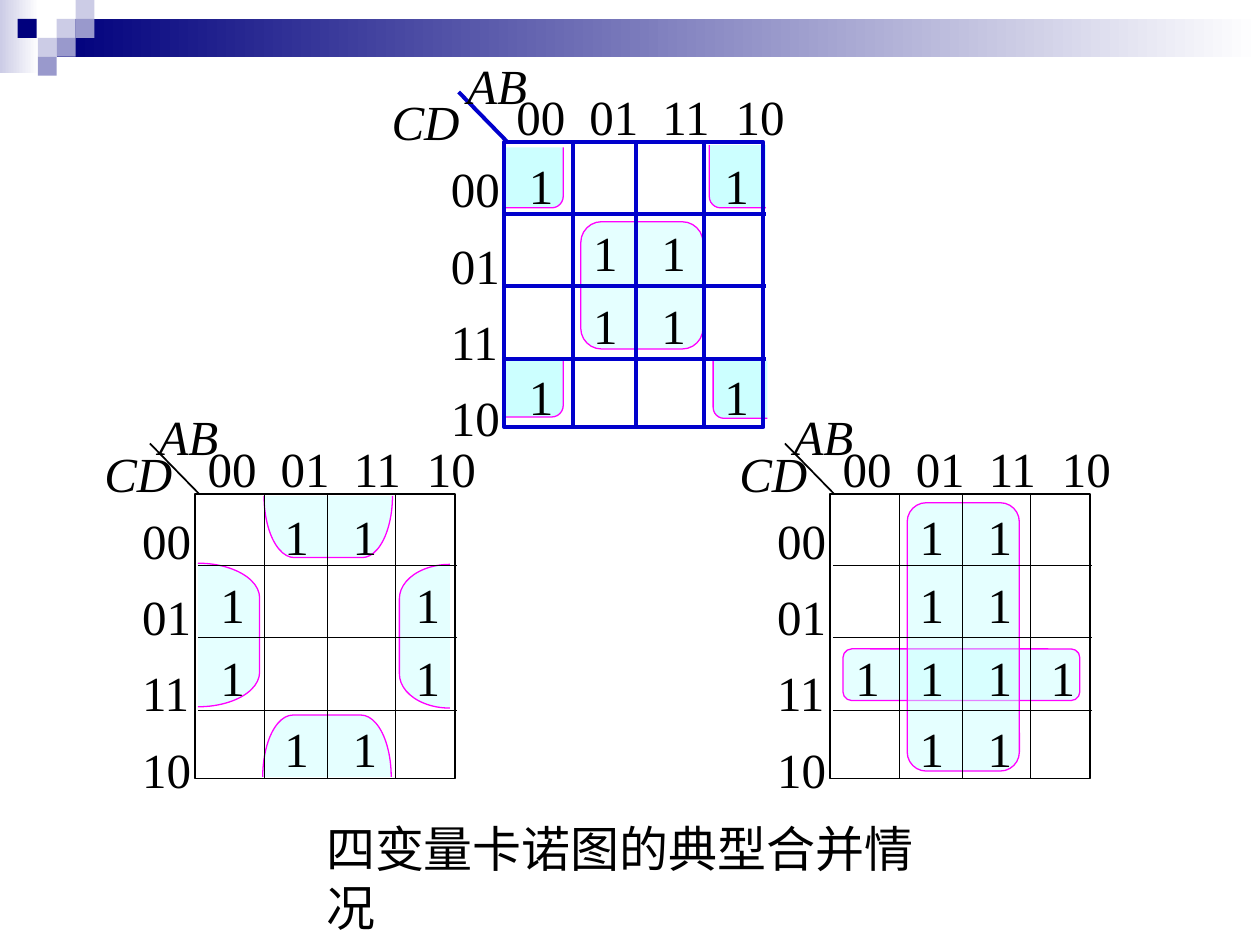
from lxml import etree
from pptx import Presentation
from pptx import util as u
from pptx.dml.color import RGBColor
from pptx.enum import shapes, text
from pptx.oxml.ns import qn

I = u.Inches
SHAPE = shapes.MSO_SHAPE
PINK, CYAN, NAVY, BLACK, BLUE = "FF00FF", "CCFFFF", "00007D", "000000", "0000CC"
LILAC, VIOLET, WHITE = "CCCCE6", "9999CC", "FFFFFF"
CODES = ["00", "01", "11", "10"]
MAP_W, MAP_H = 2.06, 2.26
COL_LINES, ROW_LINES = (0.55, 1.05, 1.59), (0.57, 1.14, 1.72)
ONE_LEFT, ONE_TOP = (0.1, 0.61, 1.15, 1.65), (-0.04, 0.59, 1.17, 1.73)


def rgb(value):
    return RGBColor.from_string(value)


def paint(sp, fill=None, line=None, width=0.75, alpha=None):
    sp.shadow.inherit = False
    if fill:
        sp.fill.solid()
        sp.fill.fore_color.rgb = rgb(fill)
        if alpha:
            color = sp.fill._xPr.find(qn("a:solidFill"))[0]
            etree.SubElement(color, qn("a:alpha"), val=str(alpha * 1000))
    else:
        sp.fill.background()
    if line:
        sp.line.color.rgb = rgb(line)
        sp.line.width = u.Pt(width)
    else:
        sp.line.fill.background()


def add_box(parent, kind, box, **style):
    sp = parent.add_shape(kind, *map(I, box))
    paint(sp, **style)
    return sp


def add_line(parent, x1, y1, x2, y2, color, width):
    line = parent.add_connector(shapes.MSO_CONNECTOR.STRAIGHT, I(x1), I(y1), I(x2), I(y2))
    line.line.color.rgb = rgb(color)
    line.line.width = u.Pt(width)
    etree.SubElement(line._element.spPr, qn("a:effectLst"))


def add_label(parent, box, content, wrap=False, italic=False, spacing=None, tabs=()):
    sp = parent.add_textbox(*map(I, box))
    tf = sp.text_frame
    tf.word_wrap = wrap
    tf.auto_size = text.MSO_AUTO_SIZE.SHAPE_TO_FIT_TEXT
    tf.text = content
    for p in tf.paragraphs:
        if tabs:
            stops = etree.SubElement(p._p.get_or_add_pPr(), qn("a:tabLst"))
            for tab in tabs:
                etree.SubElement(stops, qn("a:tab"), pos=str(I(tab)), algn="l")
        if spacing:
            p.line_spacing = spacing
        for r in p.runs:
            r.font.size = u.Pt(28)
            r.font.name = "Times New Roman"
            r.font.italic = italic
            r.font.color.rgb = rgb(BLACK)


def header_band(parent):
    for box, start in [((0, 0, 0.31, 0.58), LILAC), ((0.45, 0.15, 9.55, 0.3), NAVY)]:
        sp = add_box(parent, SHAPE.RECTANGLE, box)
        sp.fill.gradient()
        sp.fill.gradient_angle = 0
        for stop, color, position in zip(sp.fill.gradient_stops, (start, WHITE), (0, 1)):
            stop.color.rgb = rgb(color)
            stop.position = position
    squares = [(0.45, 0.15, LILAC), (0.6, 0, LILAC), (0.6, 0.15, VIOLET), (0.3, 0.3, LILAC),
               (0.14, 0.15, NAVY), (0.45, 0.3, VIOLET), (0.3, 0.45, VIOLET)]
    for x, y, color in squares:
        add_box(parent, SHAPE.RECTANGLE, (x, y, 0.15, 0.15), fill=color)


def add_loop(parent, left, top, kind, box, adj, rotation=0):
    x, y, w, h = box
    sp = add_box(parent, kind, (left + x, top + y, w, h), fill=CYAN, line=PINK, alpha=50)
    sp.adjustments[0] = adj
    sp.rotation = rotation


def add_corner_loop(parent, left, top, loop, mask, depth, on_right):
    """Rounded loop with its top and outer side hidden by a white L."""
    x, y, w, h = loop
    add_box(parent, SHAPE.ROUNDED_RECTANGLE, (left + x, top + y, w, h), fill=CYAN, line=PINK)
    x, y, w, h = mask
    outer, inner, arm = left + x, left + x + w, 0.12
    if on_right:
        outer, inner, arm = inner, outer, -arm
    y += top
    points = [(inner, y), (inner, y + depth), (outer + arm, y + depth),
              (outer + arm, y + h), (outer, y + h)]
    fb = parent.build_freeform(I(outer), I(y))
    fb.add_line_segments([(I(px), I(py)) for px, py in points], close=True)
    paint(fb.convert_to_shape(), fill=WHITE)


def karnaugh_map(s, left, top, ones, loops=(), corners=(), color=BLACK,
                 border=1, inner=0.75, cd_left=-0.82):
    """ones holds (row, column) cells; loops and corners are relative to the map."""
    g = s.shapes.add_group_shape().shapes
    for loop in loops:
        add_loop(g, left, top, *loop)
    for corner in corners:
        add_corner_loop(g, left, top, *corner)

    add_line(g, left + 0.03, top, left - 0.36, top - 0.4, color, border)
    add_box(g, SHAPE.RECTANGLE, (left, top, MAP_W, MAP_H), line=color, width=border)
    for x in COL_LINES:
        add_line(g, left + x, top, left + x, top + MAP_H, color, inner)
    for y in ROW_LINES:
        add_line(g, left + 0.02, top + y, left + 2.08, top + y, color, inner)

    add_label(g, (left, top - 0.49, 2.34, 0.57), "\t".join(CODES), wrap=True,
              tabs=(0.58, 1.16, 1.74))
    add_label(g, (left - 0.52, top - 0.06, 0.6, 2.53), "\n".join(CODES), wrap=True, spacing=1.3)
    add_label(g, (left - 0.39, top - 0.74, 0.68, 0.57), "AB", italic=True)
    add_label(g, (left + cd_left, top - 0.45, 0.74, 0.57), "CD", italic=True)
    for row, col in ones:
        height, spacing = (0.57, None) if row else (0.66, 1.2)
        add_label(g, (left + ONE_LEFT[col], top + ONE_TOP[row], 0.4, height), "1",
                  spacing=spacing)


def main():
    prs = Presentation()
    prs.slide_width, prs.slide_height = I(10), I(7.5)
    s = prs.slides.add_slide(prs.slide_layouts[6])
    header_band(s.shapes.add_group_shape().shapes)

    middle = [(1, 1), (1, 2), (2, 1), (2, 2)]
    edges = [(0, 1), (0, 2), (3, 1), (3, 2), (1, 0), (2, 0), (1, 3), (2, 3)]
    cross = [(row, col) for row in range(4) for col in (1, 2)] + [(2, 0), (2, 3)]
    karnaugh_map(
        s, 4, 1.13, middle + [(0, 0), (0, 3), (3, 0), (3, 3)],
        loops=[(SHAPE.ROUNDED_RECTANGLE, (0.61, 0.63, 0.97, 1.01), 0.17)],
        corners=[((1.66, 1.61, 0.52, 0.58), (1.65, 1.57, 0.56, 0.66), 0.16, True),
                 ((-0.08, 1.62, 0.55, 0.56), (-0.11, 1.58, 0.6, 0.64), 0.15, False),
                 ((1.63, -0.11, 0.54, 0.63), (1.62, -0.16, 0.58, 0.71), 0.18, True),
                 ((-0.08, -0.08, 0.55, 0.6), (-0.12, -0.13, 0.6, 0.68), 0.17, False)],
        color=BLUE, border=2.25, inner=2.25, cd_left=-0.99)
    karnaugh_map(
        s, 1.55, 3.92, edges,
        loops=[(SHAPE.RIGHT_BRACKET, (0.8, 1.49, 0.49, 1.02), 0.49, 270),
               (SHAPE.RIGHT_BRACKET, (0.81, -0.25, 0.49, 1.02), 0.49, 90),
               (SHAPE.LEFT_BRACKET, (1.62, 0.56, 0.4, 1.14), 0.68),
               (SHAPE.RIGHT_BRACKET, (0.02, 0.55, 0.49, 1.14), 0.56)])
    karnaugh_map(
        s, 6.59, 3.92, cross,
        loops=[(SHAPE.ROUNDED_RECTANGLE, (0.1, 1.23, 1.88, 0.41), 0.17),
               (SHAPE.ROUNDED_RECTANGLE, (0.61, 0.07, 0.89, 2.13), 0.17)])

    add_label(s.shapes, (2.49, 6.45, 5.24, 0.57), "四变量卡诺图的典型合并情况", wrap=True)
    prs.save("out.pptx")


if __name__ == "__main__":
    main()
